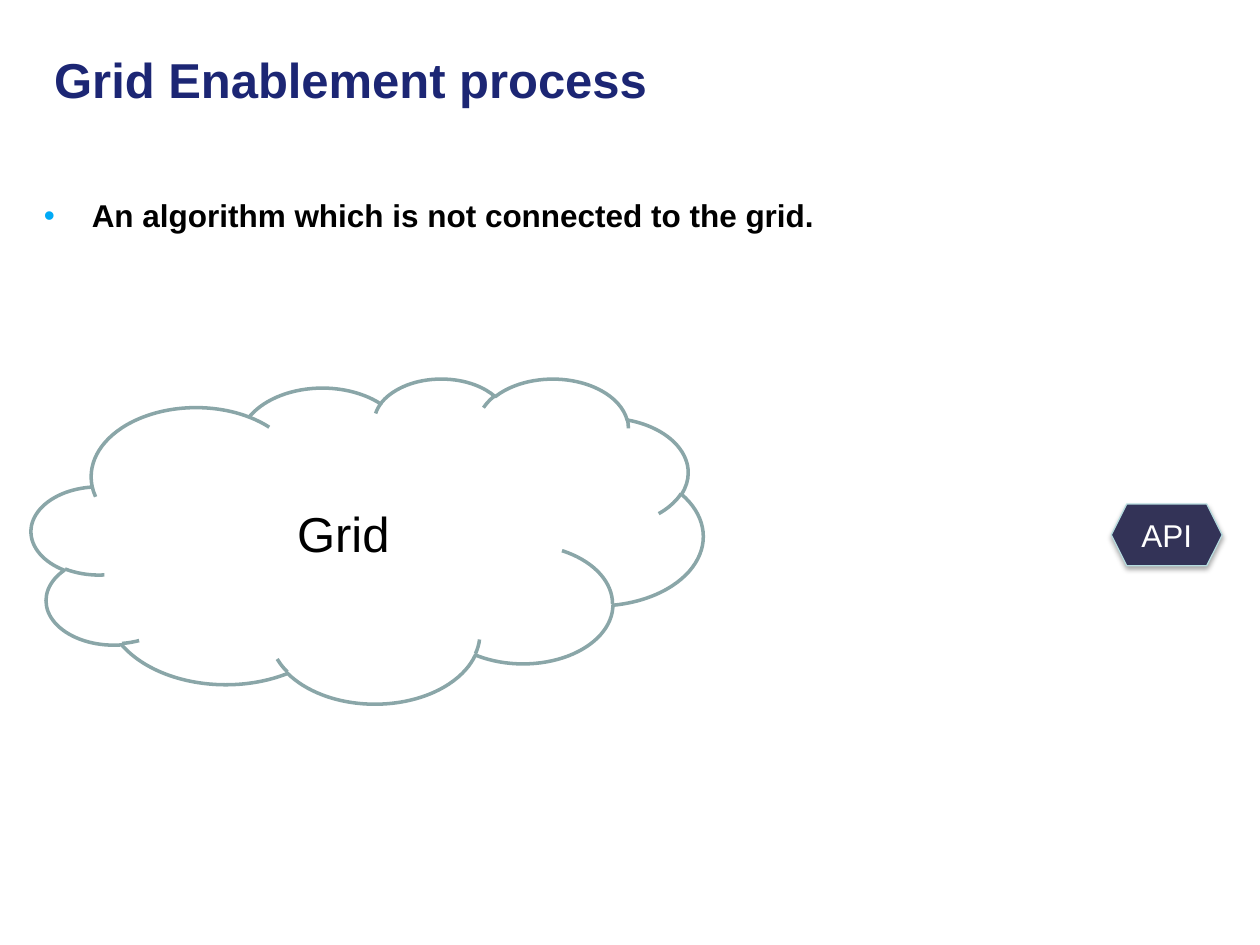
from dataclasses import dataclass

from lxml import etree
from pptx import Presentation
from pptx.dml.color import RGBColor
from pptx.enum.shapes import MSO_SHAPE
from pptx.enum.text import MSO_ANCHOR, PP_ALIGN
from pptx.oxml.ns import qn
from pptx.util import Inches, Pt

CLOUD, HEXAGON = MSO_SHAPE.CLOUD, MSO_SHAPE.HEXAGON
MIDDLE, TOP = MSO_ANCHOR.MIDDLE, MSO_ANCHOR.TOP
LEFT, CENTER = PP_ALIGN.LEFT, PP_ALIGN.CENTER
TITLE_ONLY = 5


@dataclass(frozen=True)
class Theme:
    font: str = "Arial"
    large: int = 28
    normal: int = 18
    title: str = "1C2674"
    text: str = "000000"
    bullet: str = "00AAF6"
    cloud_line: str = "8AA6A8"
    api_fill: str = "333357"
    api_line: str = "B6DCDF"
    api_text: str = "FFFFFF"
    shadow: str = "000000"


THEME = Theme()


def rgb(color):
    return RGBColor.from_string(color)


def write(frame, text, size, color, bold=False, align=LEFT, anchor=MIDDLE):
    frame.word_wrap = True
    frame.vertical_anchor = anchor
    paragraph = frame.paragraphs[0]
    paragraph.alignment = align
    run = paragraph.add_run()
    run.text = text
    run.font.name = THEME.font
    run.font.size = Pt(size)
    run.font.bold = bold
    run.font.color.rgb = rgb(color)
    return paragraph


def add_bullet(paragraph, indent):
    properties = paragraph._p.get_or_add_pPr()
    properties.set("marL", str(indent))
    properties.set("indent", str(-indent))
    color = etree.SubElement(properties, qn("a:buClr"))
    etree.SubElement(color, qn("a:srgbClr"), val=THEME.bullet)
    etree.SubElement(properties, qn("a:buFont"), typeface=THEME.font)
    etree.SubElement(properties, qn("a:buChar"), char="•")


def add_drop_shadow(shape, blur, distance, opacity):
    effects = shape._element.spPr.find(qn("a:effectLst"))
    shadow = etree.SubElement(
        effects, qn("a:outerShdw"), blurRad=str(Pt(blur)), dist=str(Pt(distance)),
        dir=str(90 * 60000), rotWithShape="0")
    color = etree.SubElement(shadow, qn("a:srgbClr"), val=THEME.shadow)
    etree.SubElement(color, qn("a:alpha"), val=str(opacity * 1000))


def add_outlined_shape(slide, kind, box, line_color, line_width):
    shape = slide.shapes.add_shape(kind, *box)
    shape.shadow.inherit = False
    shape.line.color.rgb = rgb(line_color)
    shape.line.width = Pt(line_width)
    return shape


def place_title(slide, box):
    title = slide.shapes.title
    title.left, title.top, title.width, title.height = box
    write(title.text_frame, "Grid Enablement process", THEME.large, THEME.title, bold=True)


def place_statement(slide, box):
    statement = slide.shapes.add_textbox(*box)
    paragraph = write(statement.text_frame, "An algorithm which is not connected to the grid.",
                      THEME.normal, THEME.text, bold=True, anchor=TOP)
    add_bullet(paragraph, Inches(0.38))


def place_grid(slide, box):
    grid = add_outlined_shape(slide, CLOUD, box, THEME.cloud_line, 2)
    grid.fill.background()
    write(grid.text_frame, "Grid", THEME.large, THEME.text, align=CENTER)


def place_api(slide, box):
    api = add_outlined_shape(slide, HEXAGON, box, THEME.api_line, 0.75)
    api.fill.solid()
    api.fill.fore_color.rgb = rgb(THEME.api_fill)
    add_drop_shadow(api, blur=3.1, distance=1.8, opacity=35)
    frame = api.text_frame
    frame.margin_left = frame.margin_right = frame.margin_top = frame.margin_bottom = 0
    write(frame, "API", THEME.normal, THEME.api_text, align=CENTER)
    frame.word_wrap = False


def main():
    deck = Presentation()
    deck.slide_width, deck.slide_height = Inches(10), Inches(7.5)
    slide = deck.slides.add_slide(deck.slide_layouts[TITLE_ONLY])

    # Heading and statement
    place_title(slide, (Inches(0.33), Inches(0), Inches(7.5), Inches(1.25)))
    place_statement(slide, (Inches(0.25), Inches(1.51), Inches(9.25), Inches(5.42)))

    # Grid and the API that stands apart from it
    place_grid(slide, (Inches(0.25), Inches(3), Inches(5.33), Inches(2.58)))
    place_api(slide, (Inches(8.82), Inches(4), Inches(0.88), Inches(0.49)))

    deck.save("out.pptx")


if __name__ == "__main__":
    main()
